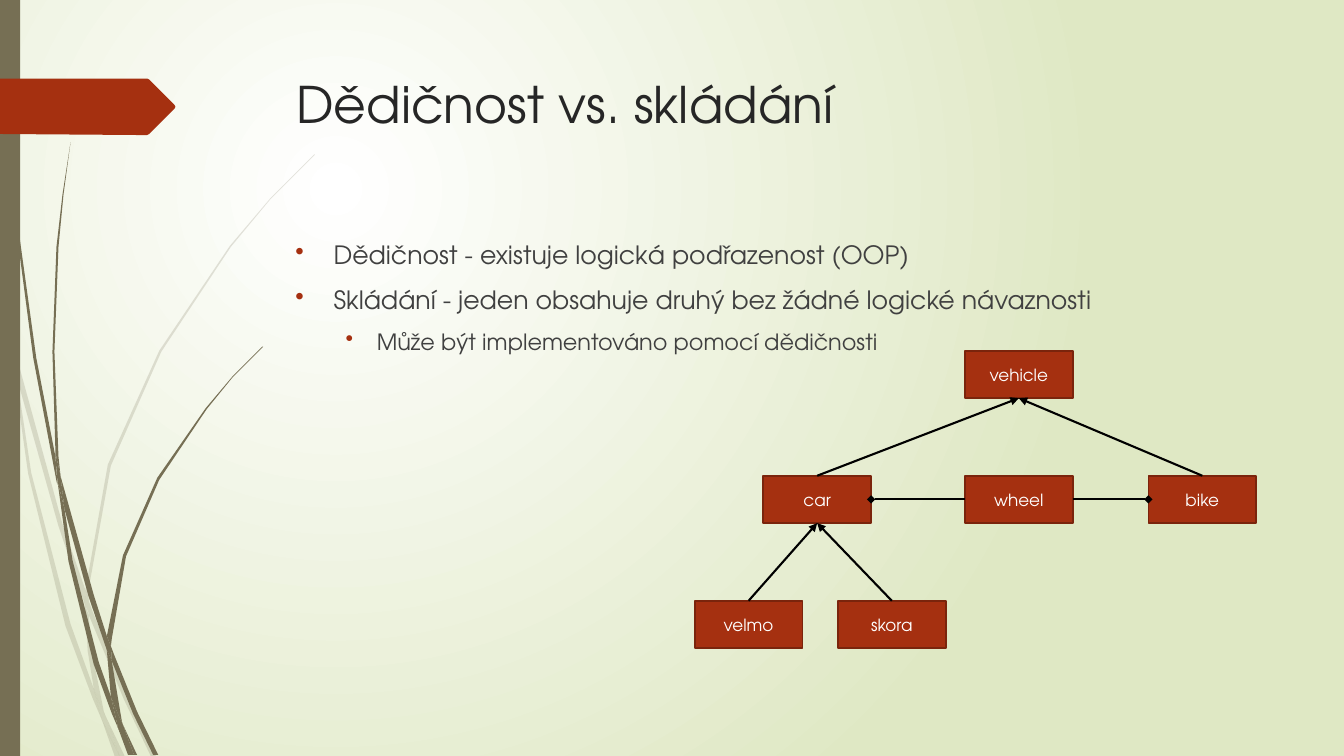
"""Build a slide that contrasts inheritance with composition."""
from dataclasses import dataclass

from lxml.etree import SubElement
from pptx import Presentation
from pptx.dml.color import RGBColor as Color
from pptx.enum.shapes import MSO_CONNECTOR as Connector, MSO_SHAPE as Preset
from pptx.enum.text import MSO_ANCHOR as Anchor, MSO_AUTO_SIZE as AutoSize, PP_ALIGN as Align
from pptx.oxml.ns import qn
from pptx.util import Inches, Pt

TITLE = "Dědičnost vs. skládání"
BULLETS = [
    (0, "Dědičnost - existuje logická podřazenost (OOP)"),
    (0, "Skládání - jeden obsahuje druhý bez žádné logické návaznosti"),
    (1, "Může být implementováno pomocí dědičnosti"),
]
CLASSES = {
    "vehicle": (9.57, 0),
    "car": (7.57, 1),
    "wheel": (9.57, 1),
    "bike": (11.39, 1),
    "velmo": (6.89, 2),
    "skora": (8.31, 2),
}
TOP, LEFT, BOTTOM, RIGHT = range(4)
LINKS = [
    ("velmo", TOP, "car", BOTTOM, "triangle"),
    ("skora", TOP, "car", BOTTOM, "triangle"),
    ("bike", TOP, "vehicle", BOTTOM, "triangle"),
    ("car", TOP, "vehicle", BOTTOM, "triangle"),
    ("wheel", LEFT, "car", RIGHT, "diamond"),
    ("wheel", RIGHT, "bike", LEFT, "diamond"),
]
PALE_STEMS = [
    "0.11 3.5 0.09 3.22 0 2.82 0 2.99 0.1 3.44",
    "0.58 5.22 0.84 5.99 0.85 5.86 0.62 5.2 0.14 3.45 0.17 3.76",
    "0.92 6.07 0.88 5.96 0.88 6.1 1.23 6.94 1.5 7.51 1.55 7.51 1.27 6.92",
    "1.19 7.51 1.24 7.51 1.05 7.11",
    "0.93 6.83 0.7 6.19 0.31 4.69 0.17 3.76 0.11 3.5 0.28 4.7 0.65 6.21 0.92 6.93 1.01 7.14 0.99 7.07",
    "0.84 5.99 0.87 6.46 0.93 6.83 0.96 6.92 1.05 7.11 1.03 7.06 0.91 6.46 0.88 6.1",
    "0.88 5.84 1.1 4.62 1.6 3.49 2.29 2.45 2.68 1.98 3.12 1.54 3.12 1.53 2.68 1.97 2.28 2.44 "
    "1.58 3.48 1.07 4.61 0.85 5.84 0.85 5.86 0.88 5.96",
    "1.01 7.14 1.14 7.51 1.19 7.51",
    "0.88 6.08 0.88 5.96 0.85 5.86 0.84 5.99",
    "0.96 6.92 0.93 6.83 0.99 7.07 1.01 7.14 1.19 7.51 1.05 7.11",
]
DARK_STEMS = [
    "0.07 1.1 0.17 2.33 0.33 3.55 0.56 4.77 0.57 4.81 0.55 4.53 0.36 3.55 0.19 2.32 0.08 1.09 "
    "0.05 0.48 0.04 0 0.03 0 0.04 0.48",
    "0.88 5.92 1.06 6.45 1.06 6.31 0.93 5.9 0.6 4.72 0.64 5.05",
    "1.13 6.49 1.1 6.41 1.11 6.56 1.32 7.08 1.52 7.49 1.57 7.49 1.36 7.06",
    "1.1 6.91 0.98 6.57 0.72 5.56 0.64 5.05 0.57 4.77 0.68 5.57 0.93 6.59 1.11 7.08 1.17 7.22 1.16 7.17",
    "0.6 4.72 0.58 4.53 0.54 3.49 0.58 2.45 0.63 1.93 0.7 1.41 0.62 1.93 0.56 2.45 0.52 3.49 0.55 4.49",
    "1.33 7.49 1.36 7.49 1.22 7.19",
    "0.57 4.77 0.64 5.05 0.6 4.72 0.55 4.49 0.55 4.53",
    "1.11 6.33 1.25 5.52 1.58 4.76 2.05 4.06 2.31 3.74 2.61 3.44 2.6 3.44 2.31 3.73 2.04 4.05 "
    "1.56 4.74 1.22 5.51 1.06 6.31 1.1 6.41",
    "1.17 7.22 1.27 7.49 1.31 7.49",
    "1.06 6.45 1.1 6.91 1.16 7.06 1.22 7.19 1.21 7.16 1.11 6.56 1.09 6.51",
    "1.06 6.45 1.09 6.51 1.11 6.56 1.1 6.41 1.06 6.31",
    "1.16 7.06 1.1 6.91 1.16 7.17 1.17 7.22 1.3 7.49 1.33 7.49 1.22 7.19",
]
TAG = "0 0.78 1.46 0.78 1.48 0.79 1.73 1.04 1.74 1.06 1.73 1.08 1.48 1.33 1.46 1.34 1.36 1.34 0 1.33"


@dataclass(frozen=True)
class Theme:
    font: str = "TeX Gyre Adventor"
    accent: str = "A53010"
    border: str = "7A240C"
    stem: str = "766F54"
    glow: str = "FFFFFF"
    edge: str = "DFE8C4"
    title: str = "262626"
    body: str = "404040"
    link: str = "000000"
    title_size: int = 36
    body_sizes: tuple = (18, 16)
    box_size: int = 12


THEME = Theme()


def write(para, text, *, size, color, align=Align.LEFT):
    span = para.add_run()
    span.text, para.alignment = text, align
    span.font.name, span.font.size = THEME.font, Pt(size)
    span.font.color.rgb = Color.from_string(color)


def paint(shape, color, border=None):
    shape.shadow.inherit = False
    shape.fill.solid()
    shape.fill.fore_color.rgb = Color.from_string(color)
    if border:
        shape.line.color.rgb, shape.line.width = Color.from_string(border), Pt(1.25)
    else:
        shape.line.fill.background()


def draw_outline(page, outline, color, opacity=100):
    numbers = [Inches(float(number)) for number in outline.split()]
    corners = list(zip(numbers[::2], numbers[1::2]))
    builder = page.shapes.build_freeform(*corners[0])
    builder.add_line_segments(corners[1:], close=True)
    shape = builder.convert_to_shape()
    paint(shape, color)
    if opacity < 100:
        SubElement(shape.element.spPr.find(".//" + qn("a:srgbClr")), qn("a:alpha"), val=str(opacity * 1000))


def draw_background(page):
    fill = page.background.fill
    fill.gradient()
    for stop, color in zip(fill.gradient_stops, (THEME.glow, THEME.edge)):
        stop.color.rgb = Color.from_string(color)
    gradient = page.element.find(".//" + qn("a:gradFill"))
    gradient.remove(gradient.find(qn("a:lin")))
    circle = SubElement(gradient, qn("a:path"), path="circle")
    SubElement(circle, qn("a:fillToRect"), l="50000", t="50000", r="100000", b="100000")
    for stems, opacity in ((PALE_STEMS, 20), (DARK_STEMS, 100)):
        for stem in stems:
            draw_outline(page, stem, THEME.stem, opacity)
    paint(page.shapes.add_shape(Preset.RECTANGLE, 0, 0, Inches(0.2), Inches(7.5)), THEME.stem)
    draw_outline(page, TAG, THEME.accent)


def draw_text(page):
    title = page.shapes.title
    title.left, title.top, title.width, title.height = map(Inches, (2.84, 0.68, 9.75, 1.4))
    frame = title.text_frame
    frame.vertical_anchor, frame.auto_size = Anchor.TOP, AutoSize.NONE
    write(frame.paragraphs[0], TITLE, size=THEME.title_size, color=THEME.title)
    title.element.getparent().append(title.element)
    frame = page.shapes.add_textbox(*map(Inches, (2.83, 2.33, 9.75, 4.13))).text_frame
    frame.word_wrap = True
    for index, (level, text) in enumerate(BULLETS):
        para = frame.add_paragraph() if index else frame.paragraphs[0]
        write(para, text, size=THEME.body_sizes[level], color=THEME.body)
        para.level, para.space_before = level, Pt(10)
        margin, hang = ((0.38, 0.38), (0.81, 0.31))[level]
        props = para._p.get_or_add_pPr()
        props.set("marL", str(Inches(margin)))
        props.set("indent", str(-Inches(hang)))
        SubElement(SubElement(props, qn("a:buClr")), qn("a:srgbClr"), val=THEME.accent)
        SubElement(props, qn("a:buChar"), char="•")


def draw_diagram(page):
    boxes = {}
    for name, (left, row) in CLASSES.items():
        box = page.shapes.add_shape(Preset.RECTANGLE, *map(Inches, (left, 3.48 + 1.24 * row, 1.07, 0.47)))
        paint(box, THEME.accent, THEME.border)
        box.text_frame.vertical_anchor = Anchor.MIDDLE
        write(box.text_frame.paragraphs[0], name, size=THEME.box_size, color=THEME.glow, align=Align.CENTER)
        boxes[name] = box
    for source, source_side, target, target_side, tip in LINKS:
        link = page.shapes.add_connector(Connector.STRAIGHT, 0, 0, 0, 0)
        link.begin_connect(boxes[source], source_side)
        link.end_connect(boxes[target], target_side)
        link.line.color.rgb, link.line.width = Color.from_string(THEME.link), Pt(1.5)
        SubElement(link.line._get_or_add_ln(), qn("a:tailEnd"), type=tip)
        SubElement(link._element.spPr, qn("a:effectLst"))


def main():
    deck = Presentation()
    deck.slide_width, deck.slide_height = Inches(13.33), Inches(7.5)
    page = deck.slides.add_slide(deck.slide_layouts[5])
    draw_background(page)
    draw_text(page)
    draw_diagram(page)
    deck.save("out.pptx")


if __name__ == "__main__":
    main()
